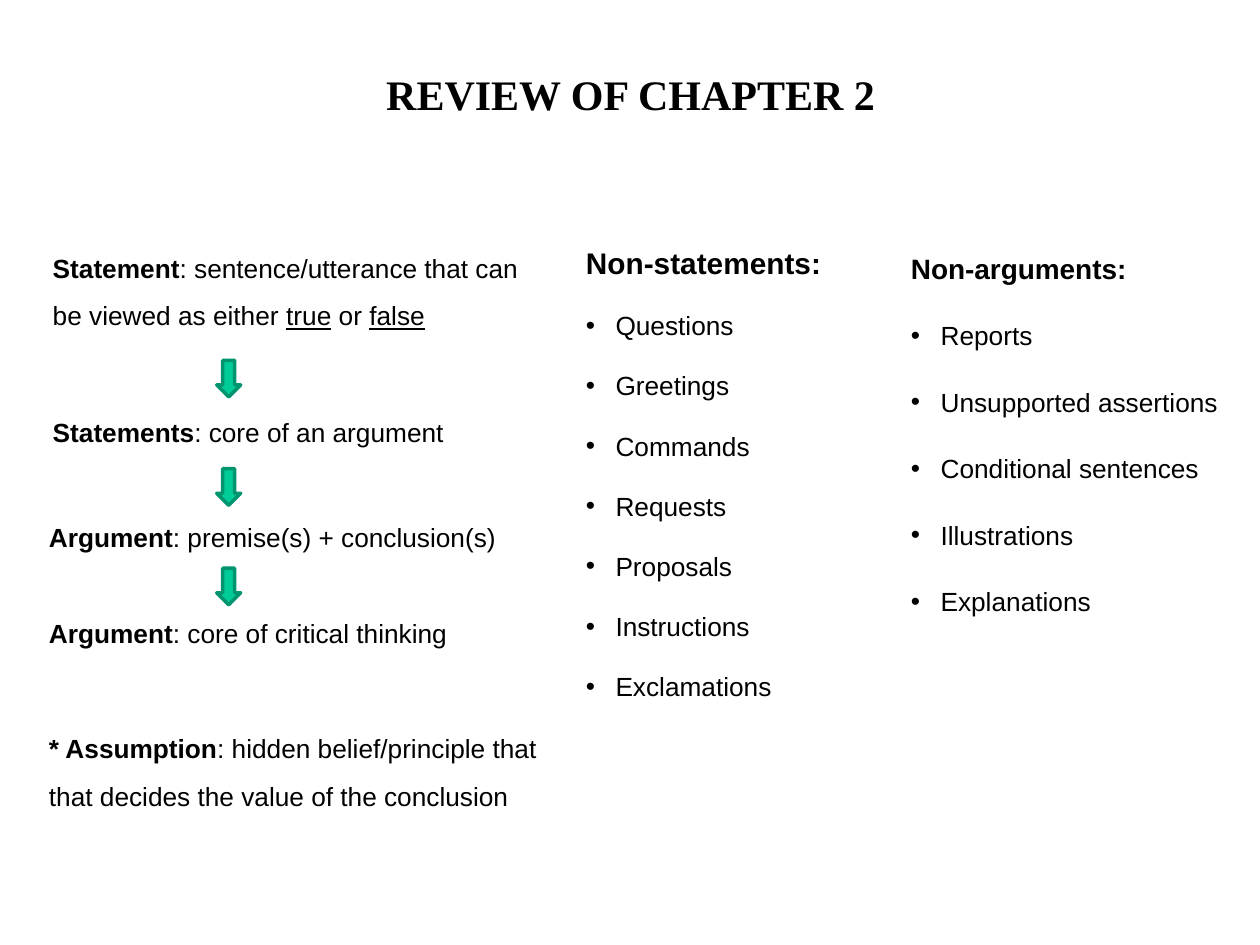
from dataclasses import dataclass

from lxml import etree
from pptx import Presentation
from pptx.dml.color import RGBColor
from pptx.enum.shapes import MSO_SHAPE
from pptx.enum.text import MSO_ANCHOR, MSO_AUTO_SIZE, PP_ALIGN
from pptx.oxml.ns import qn
from pptx.util import Inches, Pt

DOWN_ARROW = MSO_SHAPE.DOWN_ARROW
TOP = MSO_ANCHOR.TOP
NO_FIT = MSO_AUTO_SIZE.NONE
CENTER = PP_ALIGN.CENTER
LEFT = PP_ALIGN.LEFT
TITLE_ONLY = 5
COLS, ROWS = 100, 75
WIDTH, HEIGHT = Inches(10), Inches(7.5)


@dataclass(frozen=True)
class Theme:
    """Colours, fonts and type sizes of the slide."""
    ink: RGBColor = RGBColor(0, 0, 0)
    paper: RGBColor = RGBColor(255, 255, 255)
    arrow: RGBColor = RGBColor(0x00, 0xCC, 0x99)
    arrow_line: RGBColor = RGBColor(0x00, 0x95, 0x6F)
    title_font: str = "Times New Roman"
    body_font: str = "Arial"
    title: int = 24
    body: int = 15


THEME = Theme()


def place(box):
    """Turn a box in grid columns and rows into slide lengths."""
    x, y, w, h = box
    return (int(x * WIDTH / COLS), int(y * HEIGHT / ROWS),
            int(w * WIDTH / COLS), int(h * HEIGHT / ROWS))


def add_run(p, text, size=THEME.body, bold=False, underline=False, font=THEME.body_font):
    """Add one formatted run to a paragraph."""
    r = p.add_run()
    r.text = text
    r.font.name, r.font.size = font, Pt(size)
    r.font.bold, r.font.underline = bold, underline
    r.font.color.rgb = THEME.ink


def set_frame(tf, inset_x, inset_y):
    """Wrap a text frame, anchor it at the top and set its insets."""
    tf.word_wrap, tf.auto_size, tf.vertical_anchor = True, NO_FIT, TOP
    tf.margin_left = tf.margin_right = Inches(inset_x)
    tf.margin_top = tf.margin_bottom = Inches(inset_y)


def add_title(s, box, text):
    """Move and format the title placeholder."""
    sp = s.shapes.title
    sp.left, sp.top, sp.width, sp.height = place(box)
    set_frame(sp.text_frame, 0.1, 0.05)
    p = sp.text_frame.paragraphs[0]
    p.alignment = CENTER
    add_run(p, text, THEME.title, True, font=THEME.title_font)


def add_definition(s, box, spacing, term, *parts):
    """Write a bold term and its meaning; parts alternate plain and underlined."""
    tf = s.shapes.add_textbox(*place(box)).text_frame
    set_frame(tf, 0.1, 0.05)
    p = tf.paragraphs[0]
    p.line_spacing = spacing
    add_run(p, term, bold=True)
    for i, part in enumerate(parts):
        add_run(p, part, underline=i % 2 == 1)


def add_bullet(p, indent):
    """Give a paragraph a round bullet with a hanging indent."""
    pPr = p._p.get_or_add_pPr()
    pPr.set("marL", str(indent))
    pPr.set("indent", str(-indent))
    etree.SubElement(pPr, qn("a:buFont"), typeface=THEME.body_font)
    etree.SubElement(pPr, qn("a:buChar"), char="•")


def add_list(s, box, spacing, heading, size, items):
    """Write a bold heading above a bulleted list."""
    tf = s.shapes.add_textbox(*place(box)).text_frame
    set_frame(tf, 0.08, 0.04)
    for i, text in enumerate([heading, *items]):
        p = tf.add_paragraph() if i else tf.paragraphs[0]
        p.alignment, p.line_spacing, p.space_before = LEFT, spacing, Pt(11)
        if i:
            add_bullet(p, Inches(0.235))
            add_run(p, text)
        else:
            add_run(p, text, size, True)


def add_arrow(s, box):
    """Draw a down arrow between two definitions."""
    sp = s.shapes.add_shape(DOWN_ARROW, *place(box))
    sp.shadow.inherit = False
    sp.fill.solid()
    sp.fill.fore_color.rgb = THEME.arrow
    sp.line.color.rgb = THEME.arrow_line
    sp.line.width = Pt(2)


def add_definitions(s, box):
    """Stack the linked definitions and the arrows between them."""
    x, y, w, h = box
    inner = x + 0.3
    add_definition(s, (inner, y, 39.2, 8.5), 1.5, "Statement",
                   ": sentence/utterance that can be viewed as either ",
                   "true", " or ", "false")
    add_definition(s, (inner, y + 14.5, 39.2, 3.3), 0.9, "Statements",
                   ": core of an argument")
    add_definition(s, (x, y + 22.9, w, 3.3), 0.9, "Argument",
                   ": premise(s) + conclusion(s)")
    add_definition(s, (x, y + 30.5, w, 3.3), 0.9, "Argument",
                   ": core of critical thinking")
    add_definition(s, (x, y + h - 8.5, 42.5, 8.5), 1.5, "* Assumption",
                   ": hidden belief/principle that that decides the value of the conclusion")
    for row in (10.3, 18.9, 26.8):
        add_arrow(s, (x + 14.3, y + row, 1.9, 2.9))


def build_review(prs):
    """Lay out the chapter review slide."""
    s = prs.slides.add_slide(prs.slide_layouts[TITLE_ONLY])
    s.background.fill.solid()
    s.background.fill.fore_color.rgb = THEME.paper
    add_title(s, (22.8, 4.9, 54.5, 5), "REVIEW OF CHAPTER 2")
    add_definitions(s, (2.9, 18.3, 45.9, 46.6))
    add_list(s, (45.7, 18.2, 28.8, 37.1), 1.3, "Non-statements:", 17,
             ["Questions", "Greetings", "Commands", "Requests", "Proposals",
              "Instructions", "Exclamations"])
    add_list(s, (71.5, 18.2, 27.5, 35.7), 1.5, "Non-arguments:", 16,
             ["Reports", "Unsupported assertions", "Conditional sentences",
              "Illustrations", "Explanations"])


def main():
    """Build and save the presentation."""
    prs = Presentation()
    prs.slide_width, prs.slide_height = WIDTH, HEIGHT
    build_review(prs)
    prs.save("out.pptx")


if __name__ == "__main__":
    main()
